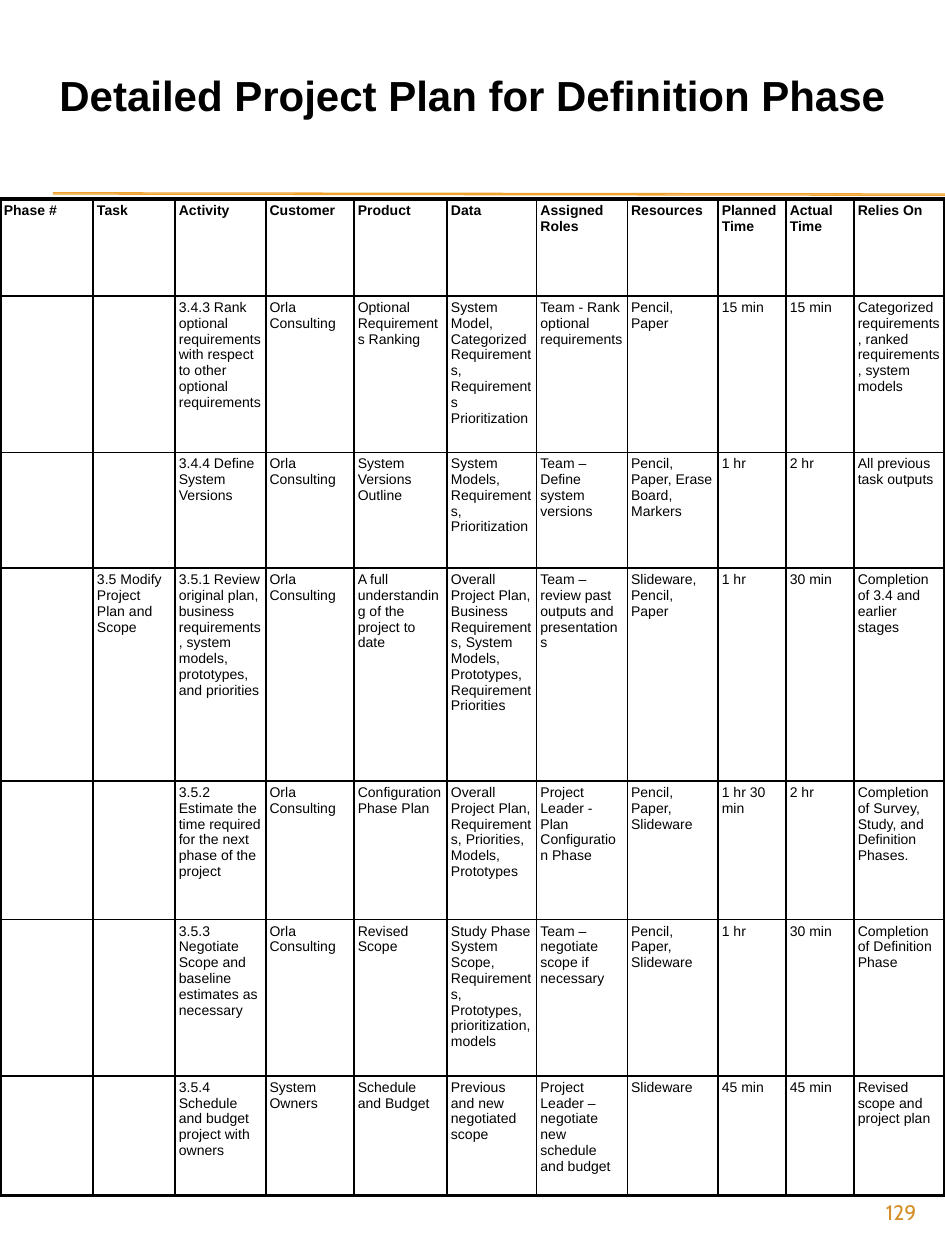
import pptx
import pptx.dml.color
import pptx.enum.shapes
import pptx.enum.text
import pptx.oxml.ns
import pptx.util
import lxml.etree

Inches = pptx.util.Inches
Pt = pptx.util.Pt
ALIGN = pptx.enum.text.PP_ALIGN
MIDDLE = pptx.enum.text.MSO_ANCHOR.MIDDLE

COLORS = {"ink": "000000", "rule": "F0A22E", "page": "D48F29"}
WIDTHS = [0.74, 0.65, 0.72, 0.7, 0.74, 0.71, 0.72, 0.72, 0.54, 0.54, 0.72]
HEIGHTS = [0.77, 1.24, 0.92, 1.69, 1.1, 1.24, 0.95]
FIRM = "Orla Consulting"
ROWS = [
    ["Phase #", "Task", "Activity", "Customer", "Product", "Data", "Assigned Roles",
     "Resources", "Planned Time", "Actual Time", "Relies On"],
    ["", "", "3.4.3 Rank optional requirements with respect to other optional requirements",
     FIRM, "Optional Requirements Ranking",
     "System Model, Categorized Requirements, Requirements Prioritization",
     "Team - Rank optional requirements", "Pencil, Paper", "15 min", "15 min",
     "Categorized requirements, ranked requirements, system models"],
    ["", "", "3.4.4 Define System Versions", FIRM, "System Versions Outline",
     "System Models, Requirements, Prioritization", "Team – Define system versions",
     "Pencil, Paper, Erase Board, Markers", "1 hr", "2 hr", "All previous task outputs"],
    ["", "3.5 Modify Project Plan and Scope",
     "3.5.1 Review original plan, business requirements, system models, prototypes, and priorities",
     FIRM, "A full understanding of the project to date",
     "Overall Project Plan, Business Requirements, System Models, Prototypes, Requirement Priorities",
     "Team – review past outputs and presentations", "Slideware, Pencil, Paper",
     "1 hr", "30 min", "Completion of 3.4 and earlier stages"],
    ["", "", "3.5.2 Estimate the time required for the next phase of the project",
     FIRM, "Configuration Phase Plan",
     "Overall Project Plan, Requirements, Priorities, Models, Prototypes",
     "Project Leader - Plan Configuration Phase", "Pencil, Paper, Slideware",
     "1 hr 30 min", "2 hr", "Completion of Survey, Study, and Definition Phases."],
    ["", "", "3.5.3 Negotiate Scope and baseline estimates as necessary",
     FIRM, "Revised Scope",
     "Study Phase System Scope, Requirements, Prototypes, prioritization, models",
     "Team – negotiate scope if necessary", "Pencil, Paper, Slideware",
     "1 hr", "30 min", "Completion of Definition Phase"],
    ["", "", "3.5.4 Schedule and budget project with owners", "System Owners",
     "Schedule and Budget", "Previous and new negotiated scope",
     "Project Leader – negotiate new schedule and budget", "Slideware",
     "45 min", "45 min", "Revised scope and project plan"],
]


class Page:
    """Holds the style and the current slide, and draws each kind of element."""

    def __init__(self, slide):
        self.slide = slide
        self.font = "Arial"
        self.thin, self.thick = 1, 2.25

    def hue(self, name):
        return pptx.dml.color.RGBColor.from_string(COLORS[name])

    def label(self, frame, text, size, color="ink", bold=False, align=ALIGN.LEFT, font=None):
        frame.word_wrap = True
        para = frame.paragraphs[0]
        para.alignment = align
        para.space_before = Pt(0)
        run = para.add_run()
        run.text = text
        run.font.name = font or self.font
        run.font.size = Pt(size)
        run.font.bold = bold
        run.font.color.rgb = self.hue(color)

    def title(self, text):
        box = self.slide.shapes.title
        box.left, box.top = Inches(0), Inches(0.5)
        box.width, box.height = Inches(7.5), Inches(0.5)
        box.text_frame.vertical_anchor = MIDDLE
        self.label(box.text_frame, text, 24, bold=True, align=ALIGN.CENTER)

    def rule(self, top):
        line = self.slide.shapes.add_connector(
            pptx.enum.shapes.MSO_CONNECTOR.STRAIGHT,
            Inches(0.42), Inches(top), Inches(7.5), Inches(top + 0.01))
        line.line.color.rgb = self.hue("rule")
        line.line.width = Pt(0.75)
        props = line._element.spPr
        lxml.etree.SubElement(props, pptx.oxml.ns.qn("a:effectLst"))

    def number(self, text):
        box = self.slide.shapes.add_textbox(
            Inches(6.75), Inches(9.44), Inches(0.62), Inches(0.36))
        box.text_frame.vertical_anchor = MIDDLE
        self.label(box.text_frame, text, 12, "page", align=ALIGN.RIGHT, font="Cabin")

    def border(self, cell, edges):
        props = cell._tc.get_or_add_tcPr()
        for side in "LRTB":
            width = self.thick if side in edges else self.thin
            line = lxml.etree.SubElement(
                props, pptx.oxml.ns.qn(f"a:ln{side}"), w=str(Pt(width)))
            fill = lxml.etree.SubElement(line, pptx.oxml.ns.qn("a:solidFill"))
            lxml.etree.SubElement(fill, pptx.oxml.ns.qn("a:srgbClr"), val=COLORS["ink"])

    def table(self, rows, widths, heights):
        grid = self.slide.shapes.add_table(
            len(rows), len(widths), Inches(0), Inches(1.58),
            Inches(7.5), Inches(sum(heights))).table
        grid.first_row = grid.horz_banding = False
        for col, width in zip(grid.columns, widths):
            col.width = Inches(width)
        for row, height in zip(grid.rows, heights):
            row.height = Inches(height)
        last, end = len(rows) - 1, len(widths) - 1
        for i, row in enumerate(rows):
            for j, text in enumerate(row):
                cell = grid.cell(i, j)
                outer = {"L": j == 0, "R": j == end, "T": i == 0, "B": i == last}
                self.border(cell, [side for side in outer if outer[side]])
                cell.fill.background()
                cell.margin_left = cell.margin_right = Inches(0.03)
                cell.margin_top = cell.margin_bottom = Inches(0.03)
                if text:
                    self.label(cell.text_frame, text, 8, bold=i == 0)


def main():
    deck = pptx.Presentation()
    deck.slide_width, deck.slide_height = Inches(7.5), Inches(10)
    page = Page(deck.slides.add_slide(deck.slide_layouts[5]))
    for top in (1.53, 1.54):
        page.rule(top)
    page.number("129")
    page.table(ROWS, WIDTHS, HEIGHTS)
    page.title("Detailed Project Plan for Definition Phase")
    deck.save("out.pptx")


if __name__ == "__main__":
    main()
